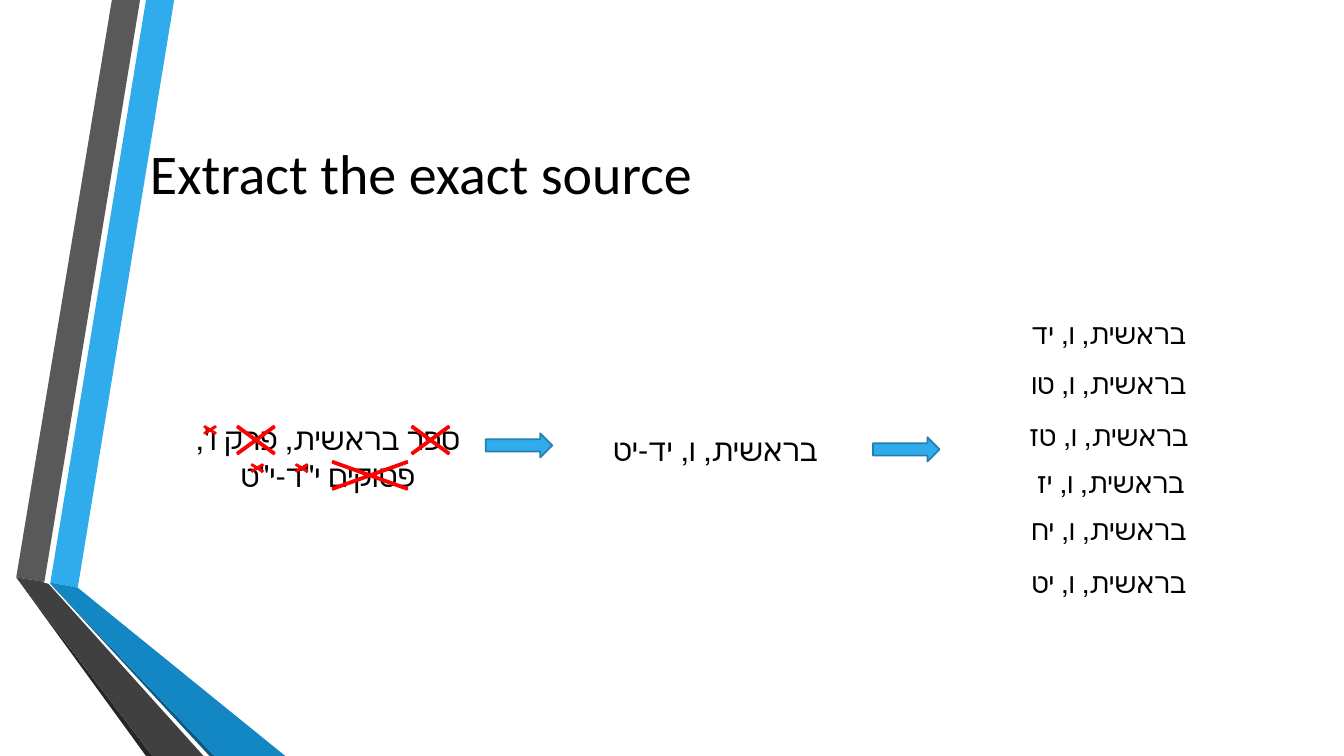
"""Build the slide on extracting the exact source of a verse reference."""
from dataclasses import dataclass

from pptx import Presentation
from pptx.dml import color
from pptx.enum import shapes, text
from pptx.util import Cm, Pt

BLUE, RED, BLACK = "30ACEC", "FF0000", "000000"
KIND = shapes.MSO_SHAPE


@dataclass
class Band:
    fill: str
    dots: list[tuple[float, float]]


@dataclass
class Label:
    words: str
    left: float
    top: float
    width: float
    height: float
    size: int = 22
    font: str = "Calibri"
    rtl: bool = True


@dataclass
class Mark:
    left: float
    top: float
    width: float
    height: float
    kind: KIND = KIND.MATH_MULTIPLY
    thick: float = 0.04
    fill: str = RED
    edge: str = RED


BANDS = [
    Band(BLUE, [(1.27, 14.68), (1.96, 14.81), (4.39, 0), (3.68, 0)]),
    Band("595959", [(3.53, 0), (2.82, 0), (0.41, 14.55), (1.12, 14.66)]),
    Band("262626", [(0.41, 14.55), (3.68, 19.05), (3.84, 19.05)]),
    Band("0C5A82", [(1.27, 14.71), (5.28, 19.05), (5.41, 19.05)]),
    Band("1287C3", [(1.27, 14.71), (5.41, 19.05), (7.19, 19.05),
                    (1.96, 14.81), (1.27, 14.68)]),
    Band("404040", [(5.13, 19.05), (1.22, 14.71), (1.09, 14.68),
                    (1.12, 14.66), (0.41, 14.55), (3.84, 19.05)]),
]

VERSES = [("יד", 24.54, 7.85), ("טו", 24.54, 9.12), ("טז", 24.54, 10.41),
          ("יז", 24.59, 11.61), ("יח", 24.54, 12.8), ("יט", 24.54, 14.12)]

LABELS = [
    Label("Extract the exact source", 3.53, 1.9, 27.81, 4.88, 40, rtl=False),
    *(Label(f"בראשית, ו, {verse}", left, top, 6.81, 1.12, 20, "Lato")
      for verse, left, top in VERSES),
    Label("ספר בראשית, פרק ו', פסוקים י\"ד-י\"ט", 4.17, 10.46, 8.18, 2.13),
    Label("בראשית, ו, יד-יט", 13.94, 10.72, 8.18, 1.19),
]

MARKS = [
    *(Mark(left, top, 1.68, 0.61, KIND.RIGHT_ARROW, 0.5, BLUE, "247FAF")
      for left, top in [(22, 11.02), (12.24, 10.92)]),
    *(Mark(left, 10.44, 1.78, 1.3) for left in (9.96, 5.56)),
    Mark(7.52, 11.33, 3.61, 1.3),
    *(Mark(left, top, 0.53, 0.33, thick=0.09)
      for left, top in [(5.03, 10.67), (6.22, 11.63), (7.34, 11.63)]),
]


def paint(form, shade: str) -> None:
    """Set the colour of a fill or a font."""
    if hasattr(form, "solid"):
        form.solid()
        form.fore_color.rgb = color.RGBColor.from_string(shade)
    else:
        form.color.rgb = color.RGBColor.from_string(shade)


def add_band(slide, band: Band) -> None:
    """Draw one filled outline."""
    first, *rest = [(Cm(x), Cm(y)) for x, y in band.dots]
    pen = slide.shapes.build_freeform(*first)
    pen.add_line_segments(rest)
    shape = pen.convert_to_shape()
    shape.shadow.inherit = False
    paint(shape.fill, band.fill)
    shape.line.fill.background()


def add_label(slide, label: Label) -> None:
    """Write one text box, right to left where asked."""
    box = slide.shapes.add_textbox(Cm(label.left), Cm(label.top),
                                   Cm(label.width), Cm(label.height))
    frame = box.text_frame
    frame.word_wrap = True
    frame.text = label.words
    para = frame.paragraphs[0]
    if label.rtl:
        para.alignment = text.PP_ALIGN.CENTER
        para._p.get_or_add_pPr().set("rtl", "1")
    else:
        frame.vertical_anchor = text.MSO_ANCHOR.MIDDLE
    font = para.runs[0].font
    font.size, font.name = Pt(label.size), label.font
    paint(font, BLACK)


def add_mark(slide, mark: Mark) -> None:
    """Draw one arrow or one cross."""
    shape = slide.shapes.add_shape(mark.kind, Cm(mark.left), Cm(mark.top),
                                   Cm(mark.width), Cm(mark.height))
    shape.shadow.inherit = False
    shape.adjustments[0] = mark.thick
    paint(shape.fill, mark.fill)
    paint(shape.line.fill, mark.edge)
    shape.line.width = Pt(1.25)


def main() -> None:
    """Build and save the slide."""
    deck = Presentation()
    deck.slide_width, deck.slide_height = Cm(33.87), Cm(19.05)
    slide = deck.slides.add_slide(deck.slide_layouts[6])
    for band in BANDS:
        add_band(slide, band)
    for label in LABELS:
        add_label(slide, label)
    for mark in MARKS:
        add_mark(slide, mark)
    deck.save("out.pptx")


if __name__ == "__main__":
    main()
